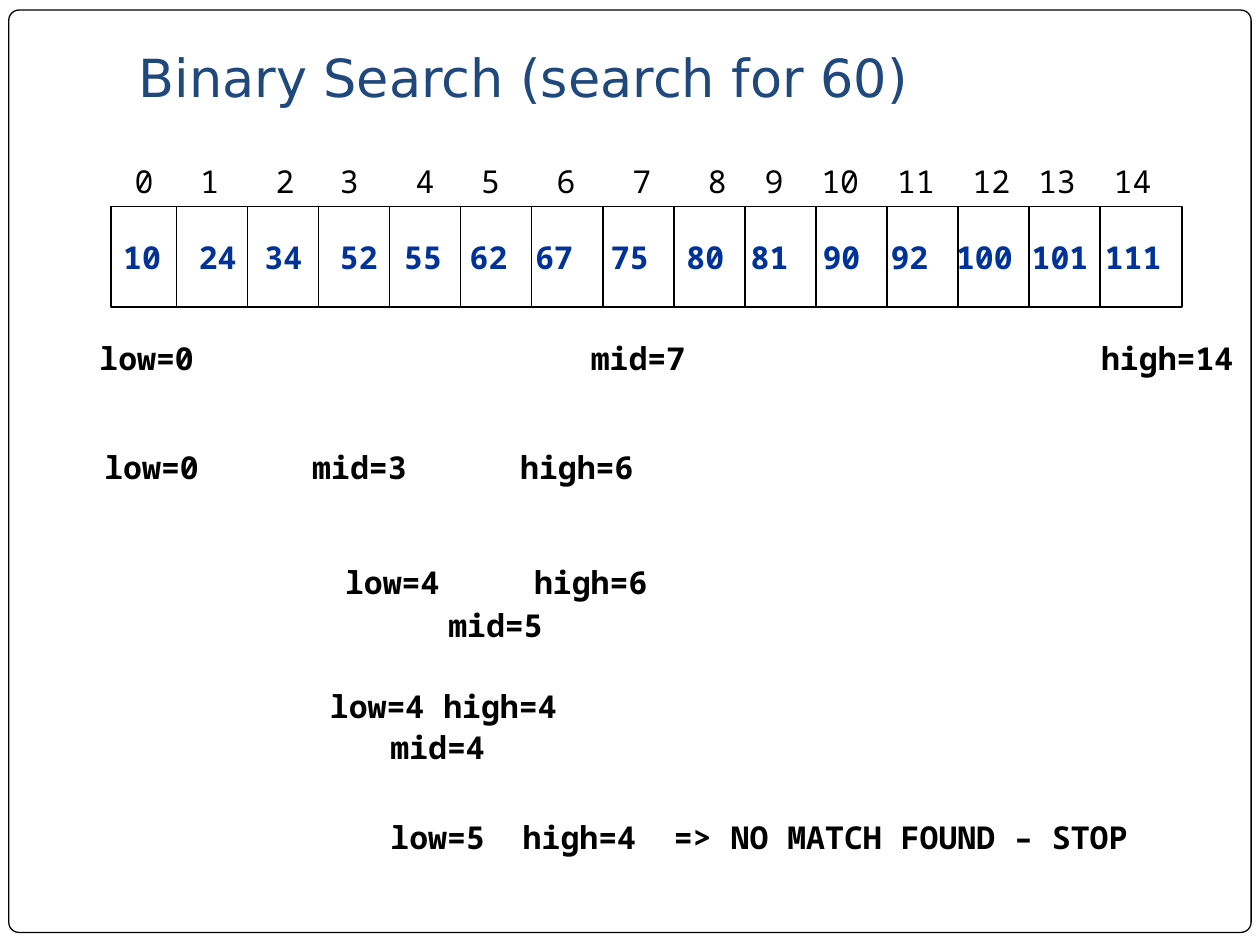
from pptx import Presentation
from pptx.dml.color import RGBColor
from pptx.enum.shapes import MSO_CONNECTOR, MSO_SHAPE
from pptx.enum.text import MSO_ANCHOR, MSO_AUTO_SIZE, PP_ALIGN
from pptx.oxml.ns import qn
from pptx.util import Inches, Pt
from lxml.etree import SubElement

BLACK, WHITE, TITLE_BLUE, VALUE_BLUE = "000000", "FFFFFF", "1F497D", "003399"
CHARACTER = 0.15  # width of one monospaced character at 18 pt, in inches


def color(hex_string):
    return RGBColor.from_string(hex_string)


class SlideBuilder:
    title_font = "DejaVu Sans"
    mono_font = "Noto Sans Mono"
    text_size = 18

    def __init__(self, slide):
        self.slide = slide

    def format_text(self, text_frame, font_name, size, hex_string, bold=False):
        paragraph = text_frame.paragraphs[0]
        paragraph.alignment = PP_ALIGN.LEFT
        for run in paragraph.runs:
            run.font.name = font_name
            run.font.size = Pt(size)
            run.font.bold = bold
            run.font.color.rgb = color(hex_string)

    def set_columns(self, text_frame, words, stops, hex_string, bold):
        """Write the words in one line, each later word at its own tab stop."""
        text_frame.word_wrap = True
        text_frame.text = "\t".join(words)
        self.format_text(text_frame, self.mono_font, self.text_size, hex_string, bold)
        properties = text_frame.paragraphs[0]._p.get_or_add_pPr()
        if stops:
            tab_list = SubElement(properties, qn("a:tabLst"))
            for stop in stops:
                SubElement(tab_list, qn("a:tab"), pos=str(Inches(stop)), algn="l")

    def title(self, text, left, top, width, height):
        shape = self.slide.shapes.title
        shape.left, shape.top = Inches(left), Inches(top)
        shape.width, shape.height = Inches(width), Inches(height)
        text_frame = shape.text_frame
        text_frame.text = text
        text_frame.auto_size = MSO_AUTO_SIZE.NONE
        text_frame.vertical_anchor = MSO_ANCHOR.BOTTOM
        text_frame.margin_bottom = Inches(0.1)
        self.format_text(text_frame, self.title_font, 30, TITLE_BLUE)

    def box(self, shapes, kind, left, top, width, height, line_width, fill=None):
        shape = shapes.add_shape(
            kind, Inches(left), Inches(top), Inches(width), Inches(height))
        shape.shadow.inherit = False
        if fill:
            shape.fill.solid()
            shape.fill.fore_color.rgb = color(fill)
        else:
            shape.fill.background()
        shape.line.color.rgb = color(BLACK)
        shape.line.width = Pt(line_width)
        return shape

    def frame(self, left, top, width, height):
        shape = self.box(self.slide.shapes, MSO_SHAPE.ROUNDED_RECTANGLE,
                         left, top, width, height, 0.75, WHITE)
        shape.adjustments[0] = 0.011
        self.slide.shapes.title.element.addprevious(shape.element)

    def divider(self, shapes, x, top, bottom):
        line = shapes.add_connector(
            MSO_CONNECTOR.STRAIGHT, Inches(x), Inches(top), Inches(x), Inches(bottom))
        line.line.color.rgb = color(BLACK)
        line.line.width = Pt(1)
        SubElement(line.element.spPr, qn("a:effectLst"))

    def array(self, values, stops, left, top, width, height, first, last):
        """Draw the cells as one box with evenly spaced dividers."""
        shapes = self.slide.shapes.add_group_shape().shapes
        cells = self.box(shapes, MSO_SHAPE.RECTANGLE, left, top, width, height, 1)
        cells.text_frame.vertical_anchor = MSO_ANCHOR.MIDDLE
        self.set_columns(cells.text_frame, values, stops, VALUE_BLUE, True)
        dividers = len(values) - 1
        step = (last - first) / (dividers - 1)
        for index in range(dividers):
            self.divider(shapes, first + index * step, top, top + height)

    def label(self, words, stops, left, top, width, bold=True):
        shape = self.slide.shapes.add_textbox(
            Inches(left), Inches(top), Inches(width), Inches(0.4))
        self.set_columns(shape.text_frame, words, stops, BLACK, bold)


def main():
    presentation = Presentation()
    presentation.slide_width, presentation.slide_height = Inches(10), Inches(7.5)
    builder = SlideBuilder(presentation.slides.add_slide(presentation.slide_layouts[5]))

    # Frame and title
    builder.frame(0.07, 0.08, 9.86, 7.32)
    builder.title("Binary Search (search for 60)", 1, 0.3, 8.5, 0.66)

    # Sorted array
    values = "10 24 34 52 55 62 67 75 80 81 90 92 100 101 111".split()
    value_stops = [0.6, 1.12, 1.72, 2.23, 2.75, 3.27, 3.87,
                   4.47, 4.98, 5.55, 6.09, 6.61, 7.21, 7.79]
    builder.array(values, value_stops, 0.88, 1.64, 8.5, 0.8, first=1.4, last=8.73)

    # Indices above the cells
    indices = [str(index) for index in range(len(values))]
    index_stops = [0.52, 1.12, 1.63, 2.23, 2.75, 3.35, 3.95,
                   4.55, 5, 5.45, 6.05, 6.65, 7.17, 7.77]
    builder.label(indices, index_stops, 0.97, 1.24, 8.53, bold=False)

    # Search steps: words, their character columns, left, top, width
    steps = [
        (["low=0", "mid=7", "high=14"], [26, 53], 0.69, 2.64, 9.31),
        (["low=0", "mid=3", "high=6"], [11, 22], 0.73, 3.51, 4.64),
        (["low=4", "high=6"], [10], 2.64, 4.42, 2.83),
        (["mid=5"], [], 3.46, 4.76, 1),
        (["low=4 high=4"], [], 2.52, 5.4, 2.66),
        (["mid=4"], [], 3, 5.73, 1),
        (["low=5", "high=4", "=> NO MATCH FOUND – STOP"], [7, 15], 3, 6.44, 6.08),
    ]
    for words, columns, left, top, width in steps:
        stops = [column * CHARACTER for column in columns]
        builder.label(words, stops, left, top, width)

    presentation.save("out.pptx")


if __name__ == "__main__":
    main()
